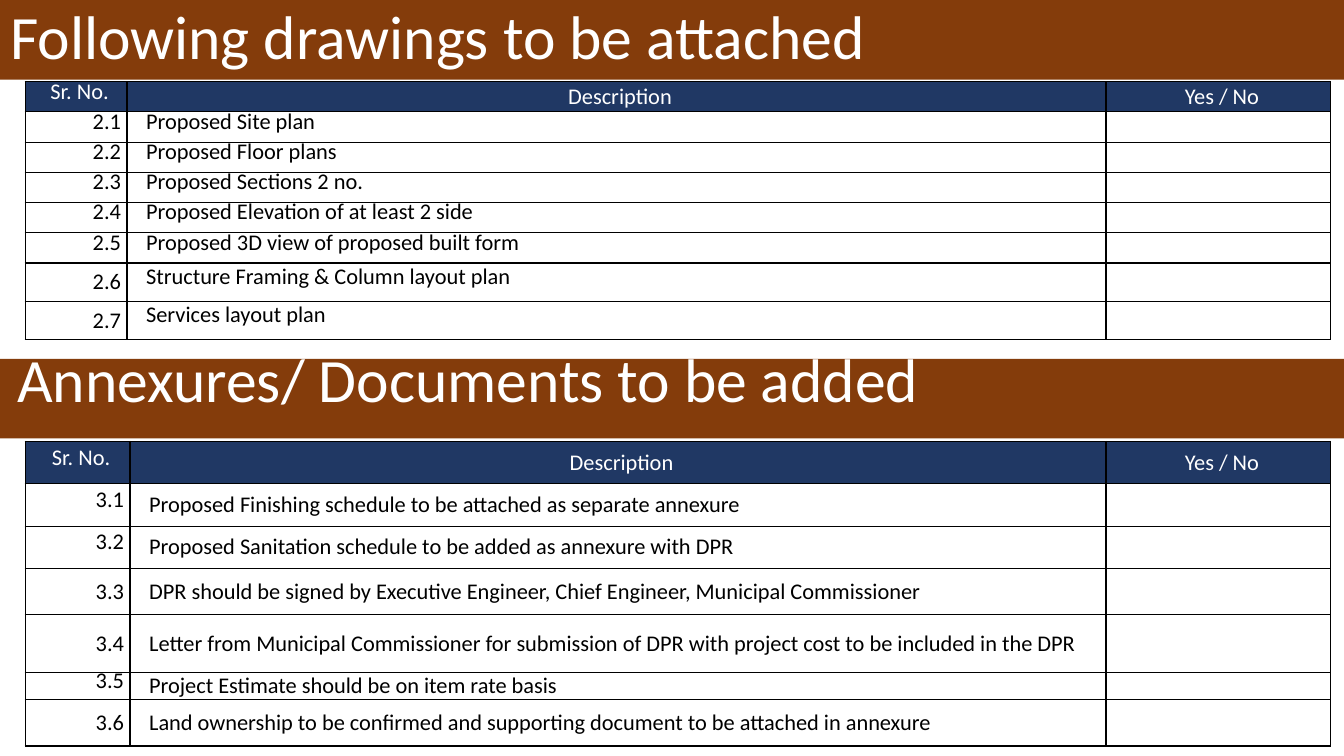
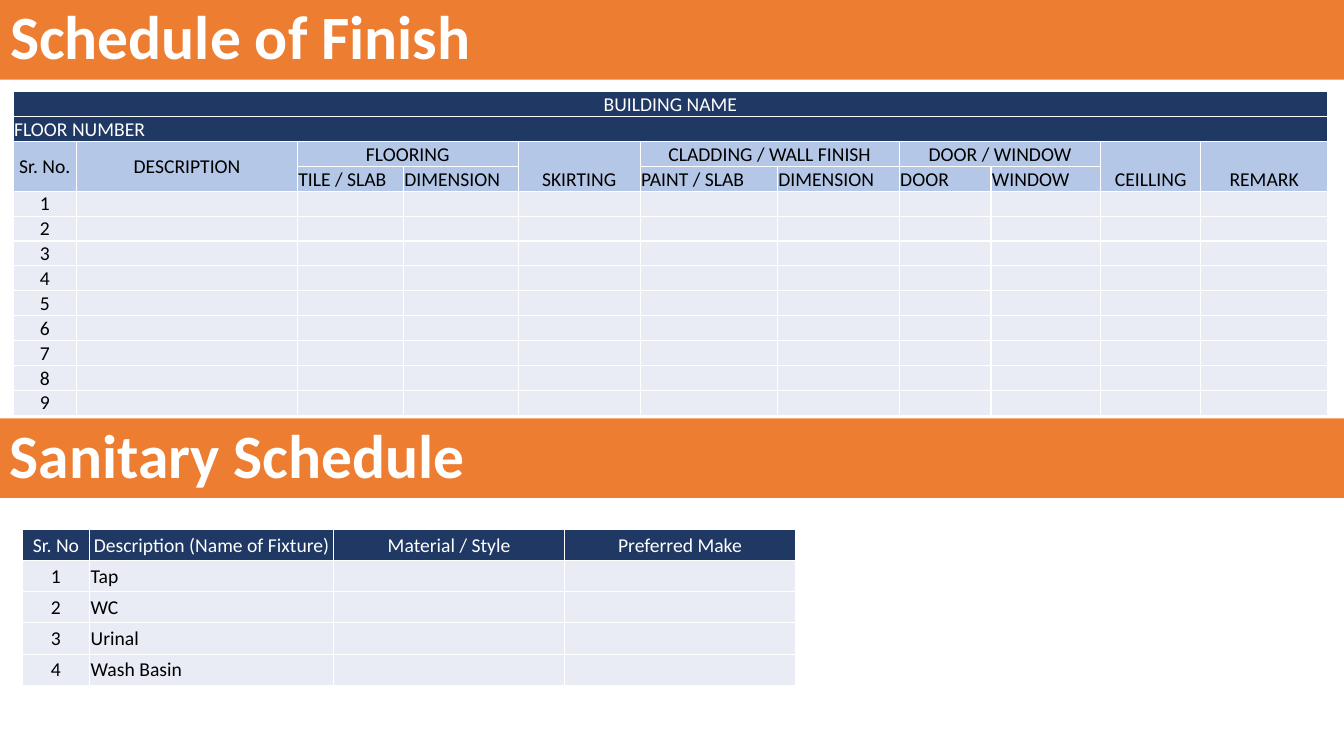
import pptx
import pptx.dml.color
import pptx.enum.shapes
import pptx.enum.text
import pptx.oxml
import pptx.oxml.ns
import pptx.util

Inches = pptx.util.Inches
Pt = pptx.util.Pt
ALIGN = pptx.enum.text.PP_ALIGN
ANCHOR = pptx.enum.text.MSO_ANCHOR
rgb = pptx.dml.color.RGBColor.from_string

WHITE, BLACK, NAVY = "FFFFFF", "000000", "203864"
BROWN, ORANGE = "843C0B", "ED7D31"
LIGHT_BLUE, PALE = "B4C7E7", "E9EBF5"
FONT = "Calibri"


def add_band(s, text, top, color, bold=False):
    """Full-width heading: the title at the top, a rectangle further down."""
    if top == 0:
        sp = s.shapes.title
    else:
        sp = s.shapes.add_shape(pptx.enum.shapes.MSO_SHAPE.RECTANGLE, 0, 0, 0, 0)
        sp.shadow.inherit = False
    sp.left, sp.top = 0, Inches(top)
    sp.width, sp.height = prs.slide_width, Inches(0.79)
    sp.fill.solid()
    sp.fill.fore_color.rgb = rgb(color)
    sp.line.fill.background()
    tf = sp.text_frame
    tf.word_wrap = True
    tf.auto_size = pptx.enum.text.MSO_AUTO_SIZE.NONE
    tf.vertical_anchor = ANCHOR.MIDDLE
    p = tf.paragraphs[0]
    p.text = text
    p.alignment = ALIGN.LEFT
    p.line_spacing = 0.9
    p.font.name, p.font.size, p.font.bold = FONT, Pt(44), bold
    p.font.color.rgb = rgb(WHITE)
    return sp


def add_table(s, left, top, widths, heights, texts, fills, size, border,
              number_align=ALIGN.CENTER, centred_rows=(0,), anchor=ANCHOR.MIDDLE):
    """Table with one fill per row (None for no fill) and a full grid."""
    table = s.shapes.add_table(len(heights), len(widths), Inches(left), Inches(top),
                               Inches(sum(widths)), Inches(sum(heights))).table
    table.first_row = table.horz_banding = False
    for column, width in zip(table.columns, widths):
        column.width = Inches(width)
    for r, height in enumerate(heights):
        table.rows[r].height = Inches(height)
        for c in range(len(widths)):
            cell = table.cell(r, c)
            cell.margin_left = cell.margin_top = cell.margin_right = Inches(0.01)
            cell.margin_bottom = 0
            cell.vertical_anchor = anchor
            for side in ("lnL", "lnR", "lnT", "lnB"):
                cell._tc.get_or_add_tcPr().append(pptx.oxml.parse_xml(
                    f'<a:{side} {pptx.oxml.ns.nsdecls("a")} w="12700"><a:solidFill>'
                    f'<a:srgbClr val="{border}"/></a:solidFill></a:{side}>'))
            if fills[r]:
                cell.fill.solid()
                cell.fill.fore_color.rgb = rgb(fills[r])
            else:
                cell.fill.background()
            p = cell.text_frame.paragraphs[0]
            if c < len(texts[r]) and texts[r][c]:
                p.text = texts[r][c]
            p.alignment = (ALIGN.CENTER if r in centred_rows
                           else number_align if c == 0 else ALIGN.LEFT)
            p.font.name, p.font.size = FONT, Pt(size)
            p.font.color.rgb = rgb(WHITE if fills[r] == NAVY else BLACK)
    return table


prs = pptx.Presentation()
prs.slide_width, prs.slide_height = Inches(13.33), Inches(7.5)
title_only = prs.slide_layouts[5]

# Slide 1: checklists of drawings and annexures
s = prs.slides.add_slide(title_only)
add_band(s, "Following drawings to be attached", 0, BROWN)
sp = add_band(s, "Annexures/ Documents to be added", 3.56, BROWN)
sp.text_frame.margin_left = Inches(0.17)
sp.text_frame.margin_top = Inches(0.21)
sp.text_frame.paragraphs[0].line_spacing = Pt(11.7)

drawings = ["Proposed Site plan", "Proposed Floor plans", "Proposed Sections 2 no.",
            "Proposed Elevation of at least 2 side",
            "Proposed 3D view of proposed built form",
            "Structure Framing & Column layout plan", "Services layout plan"]
annexures = [
    "Proposed Finishing schedule to be attached as separate annexure",
    "Proposed Sanitation schedule to be added as annexure with DPR",
    "DPR should be signed by Executive Engineer, Chief Engineer, Municipal Commissioner",
    "Letter from Municipal Commissioner for submission of DPR with project cost"
    " to be included in the DPR",
    "Project Estimate should be on item rate basis",
    "Land ownership to be confirmed and supporting document to be attached in annexure"]

# Section, top, column widths, row heights, items, rows whose number / text is set tight
checklists = [
    (2, 0.81, [1.01, 9.71, 2.23], [0.3] * 6 + [0.38] * 2, drawings,
     range(1, 6), range(1, 8)),
    (3, 4.38, [1.04, 9.68, 2.23], [0.42] * 3 + [0.46, 0.57, 0.27, 0.46], annexures,
     (1, 2, 5), ())]
for section, top, widths, heights, items, tight_numbers, tight_texts in checklists:
    texts = [["Sr. No.", "Description", "Yes / No"]]
    texts += [[f"{section}.{n}", item] for n, item in enumerate(items, 1)]
    table = add_table(s, 0.25, top, widths, heights, texts, [NAVY] + [None] * len(items),
                      16, BLACK, number_align=ALIGN.RIGHT)
    for r in range(len(texts)):
        for c in range(3):
            cell = table.cell(r, c)
            cell.margin_top = cell.margin_right = 0
            cell.margin_left = Inches(0.07 if r == 0 else 0.19 if c == 1 else 0)
        if r > 0:
            table.cell(r, 0).margin_right = Inches(0.06)
        for c, tight_rows in enumerate((tight_numbers, tight_texts)):
            if r in tight_rows:
                table.cell(r, c).text_frame.paragraphs[0].line_spacing = Pt(11.7)
    table.cell(0, 0).text_frame.paragraphs[0].line_spacing = Pt(12.6)
    if section == 2:
        for r in (6, 7):
            table.cell(r, 0).text_frame.paragraphs[0].space_before = Pt(1.9)

# Slide 2: finish schedule
s = prs.slides.add_slide(title_only)
add_band(s, "Schedule of Finish", 0, ORANGE, bold=True)
texts = [["BUILDING NAME"], ["FLOOR NUMBER"],
         ["Sr. No.", "DESCRIPTION", "FLOORING", "", "SKIRTING", "CLADDING / WALL FINISH",
          "", "DOOR / WINDOW", "", "CEILLING", "REMARK"],
         ["", "", "TILE / SLAB", "DIMENSION", "", "PAINT / SLAB", "DIMENSION", "DOOR",
          "WINDOW"]]
texts += [[str(n)] for n in range(1, 10)]
table = add_table(s, 0.13, 0.91,
                  [0.63, 2.19, 1.05, 1.14, 1.21, 1.36, 1.21, 0.91, 1.09, 0.99, 1.26],
                  [0.24] * 13, texts, [NAVY] * 2 + [LIGHT_BLUE] * 2 + [PALE] * 9,
                  14, WHITE, centred_rows=(0, 2), anchor=ANCHOR.BOTTOM)
table.cell(1, 0).text_frame.paragraphs[0].alignment = ALIGN.LEFT
for r in (0, 1):
    table.cell(r, 0).merge(table.cell(r, 10))
for c in (2, 5, 7):
    table.cell(2, c).merge(table.cell(2, c + 1))
for c in (0, 1, 4, 9, 10):
    table.cell(2, c).merge(table.cell(3, c))
for c in (0, 1):
    table.cell(2, c).vertical_anchor = ANCHOR.MIDDLE

# Slide 2: sanitary schedule
add_band(s, "Sanitary Schedule", 4.15, ORANGE, bold=True)
texts = [["Sr. No", "Description (Name of Fixture)", "Material / Style", "Preferred Make"]]
texts += [[str(n), fixture]
          for n, fixture in enumerate(["Tap", "WC", "Urinal", "Wash Basin"], 1)]
add_table(s, 0.22, 5.25, [0.67, 2.42, 2.29, 2.29], [0.31] * 5, texts,
          [NAVY] + [PALE] * 4, 14, WHITE)

prs.save("out.pptx")
